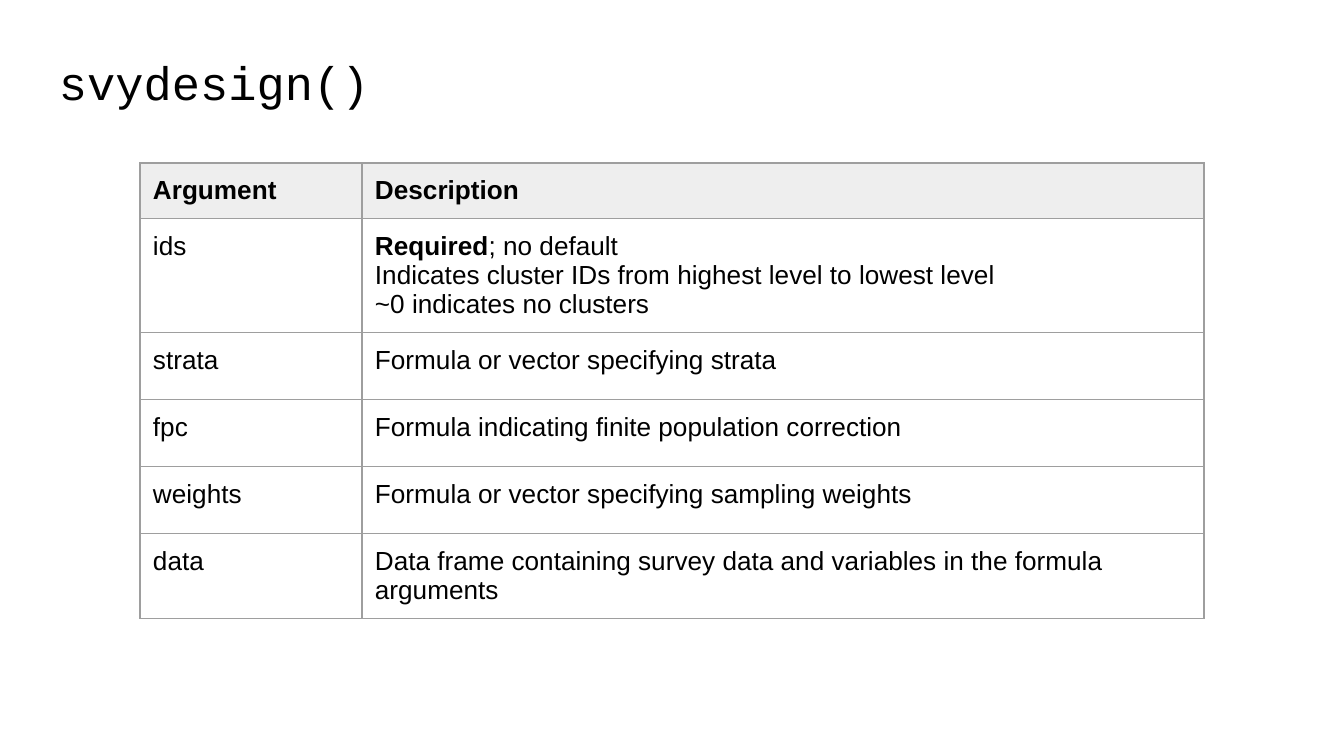
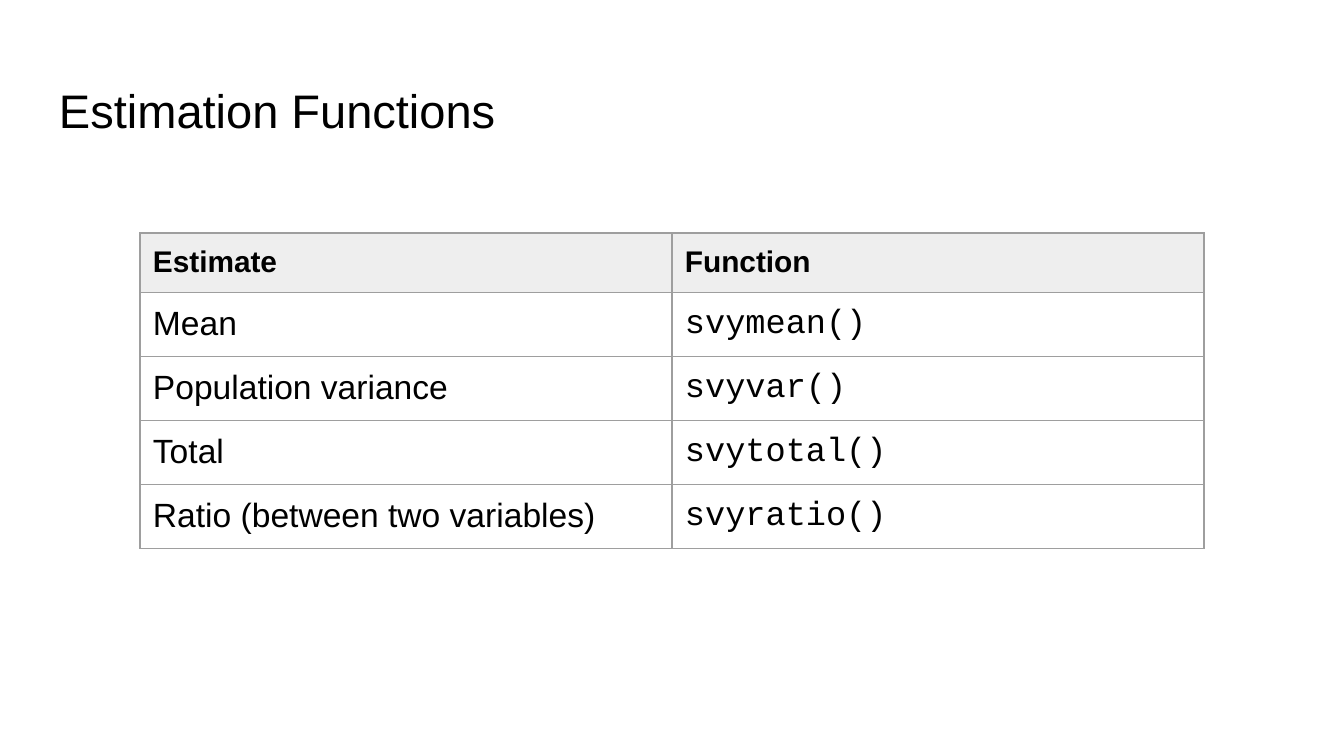
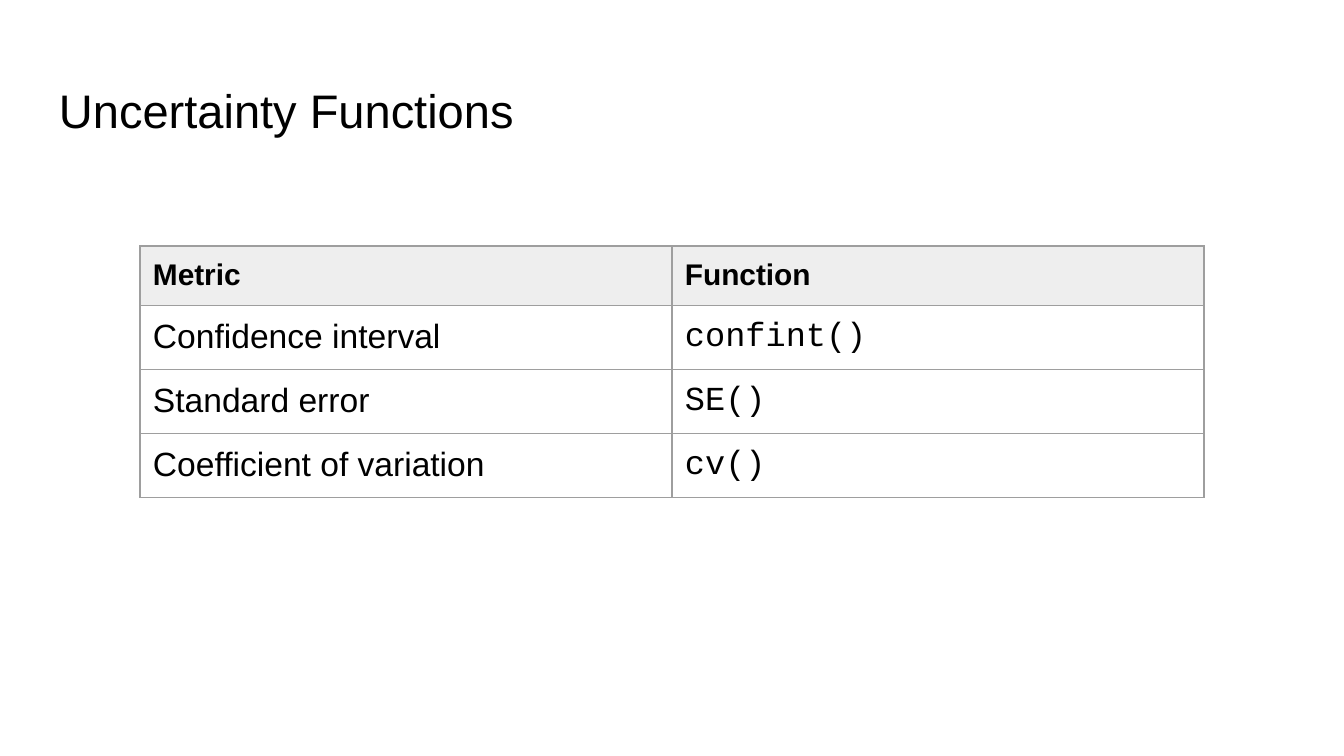
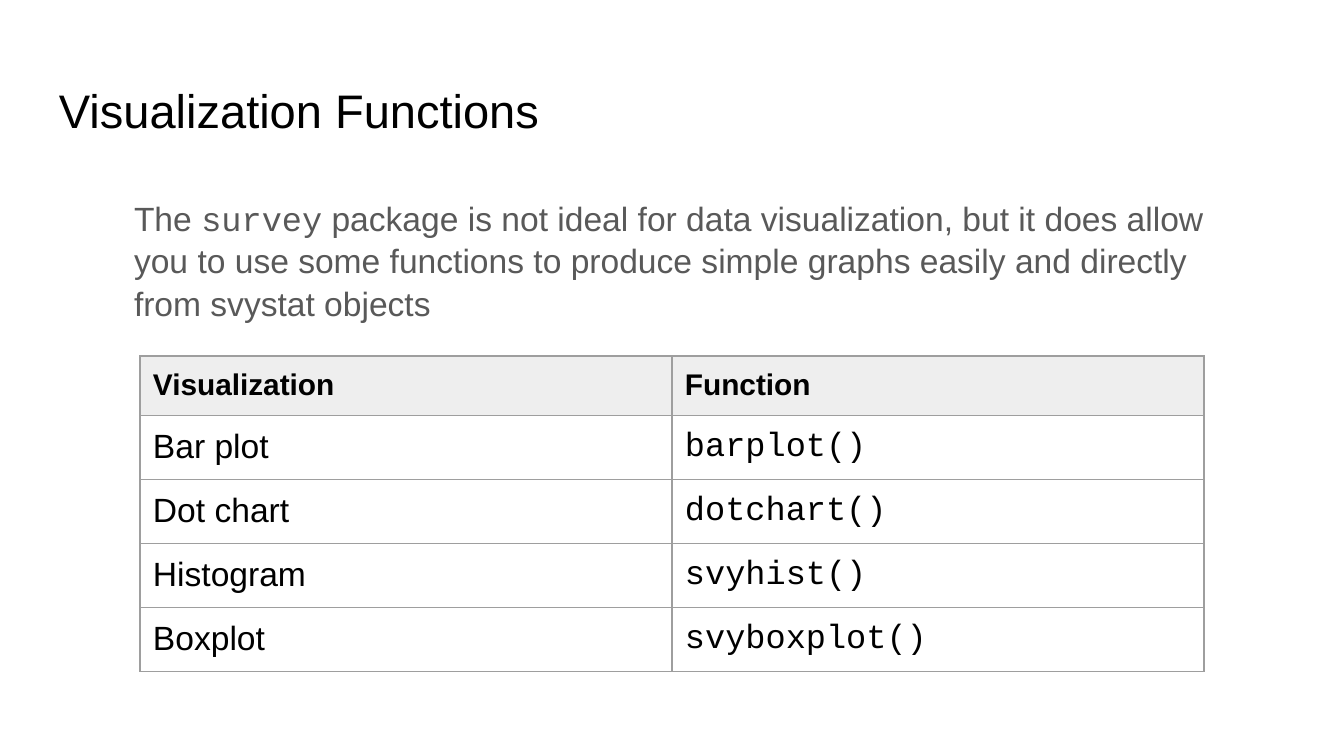
from dataclasses import dataclass
from typing import Any

from lxml import etree
from pptx import Presentation
from pptx.dml.color import RGBColor
from pptx.enum.text import MSO_ANCHOR, MSO_AUTO_SIZE, PP_ALIGN
from pptx.oxml.ns import qn
from pptx.util import Emu, Pt

LEFT = PP_ALIGN.LEFT
TOP, BOTTOM = MSO_ANCHOR.TOP, MSO_ANCHOR.BOTTOM
NO_FIT, GROW = MSO_AUTO_SIZE.NONE, MSO_AUTO_SIZE.SHAPE_TO_FIT_TEXT

# Shared look
EMU_PER_PX = 914400 / 134.4
SLIDE_WIDTH, SLIDE_HEIGHT = 1344, 756
INSET = 13
TITLE_ONLY = 5
SANS, MONO = "Arial", "Courier New"
BLACK = RGBColor(0x00, 0x00, 0x00)
GREY_TEXT = RGBColor(0x59, 0x59, 0x59)
HEADER_FILL = RGBColor(0xEE, 0xEE, 0xEE)
BORDER = RGBColor(0x9E, 0x9E, 0x9E)
BORDER_WIDTH = Pt(0.75)
TITLE_SIZE = 25.2
TITLE_LEFT, TITLE_TOP, TITLE_WIDTH, TITLE_HEIGHT = 46, 66, 1252, 85
TABLE_LEFT = 140


@dataclass(frozen=True)
class Span:
    text: str
    font: str = SANS
    bold: bool = False


Para = tuple[Span, ...]
Cell = tuple[Para, ...]


@dataclass(frozen=True)
class Grid:
    top: int
    columns: tuple[int, int]
    header_height: int
    row_height: int
    header_size: int
    body_size: int
    rows: list[tuple[Cell, ...]]


@dataclass(frozen=True)
class Page:
    title: Span
    grid: Grid
    title_top: int = TITLE_TOP
    intro: Para = ()


def px(length: int) -> Emu:
    return Emu(round(length * EMU_PER_PX))


def apply_format(target: Any, values: dict[str, Any]) -> None:
    for name, value in values.items():
        setattr(target, name, value)


def place(shape: Any, left: int, top: int, width: int, height: int) -> None:
    apply_format(shape, {"left": px(left), "top": px(top),
                         "width": px(width), "height": px(height)})


def margins() -> dict[str, Emu]:
    return {f"margin_{side}": px(INSET) for side in ("left", "top", "right", "bottom")}


def write(frame: Any, paras: Cell, size: float, color: RGBColor,
          spacing: float = 1.0) -> None:
    """Fill a text frame with paragraphs of formatted spans."""
    for index, spans in enumerate(paras):
        para = frame.add_paragraph() if index else frame.paragraphs[0]
        apply_format(para, {"alignment": LEFT, "line_spacing": spacing,
                            "space_before": Pt(0), "space_after": Pt(0)})
        for span in spans:
            run = para.add_run()
            run.text = span.text
            apply_format(run.font, {"name": span.font, "size": Pt(size),
                                    "bold": span.bold})
            run.font.color.rgb = color


def add_borders(cell: Any) -> None:
    properties = cell._tc.get_or_add_tcPr()
    for side in ("a:lnL", "a:lnR", "a:lnT", "a:lnB"):
        line = etree.SubElement(properties, qn(side), w=str(BORDER_WIDTH))
        fill = etree.SubElement(line, qn("a:solidFill"))
        etree.SubElement(fill, qn("a:srgbClr"), val=str(BORDER))


def draw_title(slide: Any, title: Span, top: int) -> None:
    box = slide.shapes.title
    place(box, TITLE_LEFT, top, TITLE_WIDTH, TITLE_HEIGHT)
    apply_format(box.text_frame, {**margins(), "word_wrap": True, "auto_size": NO_FIT,
                                  "vertical_anchor": BOTTOM})
    write(box.text_frame, ((title,),), TITLE_SIZE, BLACK)


def draw_grid(slide: Any, grid: Grid) -> None:
    heights = [grid.header_height] + [grid.row_height] * (len(grid.rows) - 1)
    table = slide.shapes.add_table(
        len(grid.rows), len(grid.columns), px(TABLE_LEFT), px(grid.top),
        px(sum(grid.columns)), px(sum(heights))).table
    apply_format(table, {"first_row": False, "horz_banding": False})
    for column, width in zip(table.columns, grid.columns):
        column.width = px(width)
    for row, height in zip(table.rows, heights):
        row.height = px(height)
    for row_index, row in enumerate(grid.rows):
        for column_index, paras in enumerate(row):
            cell = table.cell(row_index, column_index)
            apply_format(cell, {**margins(), "vertical_anchor": TOP})
            add_borders(cell)
            if row_index:
                cell.fill.background()
            else:
                cell.fill.solid()
                cell.fill.fore_color.rgb = HEADER_FILL
            size = grid.body_size if row_index else grid.header_size
            write(cell.text_frame, paras, size, BLACK)


def draw_intro(slide: Any, spans: Para) -> None:
    box = slide.shapes.add_textbox(px(121), px(183), px(1114), px(149))
    apply_format(box.text_frame, {**margins(), "word_wrap": True, "auto_size": GROW,
                                  "vertical_anchor": TOP})
    write(box.text_frame, (spans,), 18, GREY_TEXT, 1.05)


def plain(text: str, font: str = SANS, bold: bool = False) -> Cell:
    return ((Span(text, font, bold),),)


def header(*names: str) -> tuple[Cell, ...]:
    return tuple(plain(name, bold=True) for name in names)


def function_grid(top: int, label: str, functions: dict[str, str]) -> Grid:
    """Two equal columns: a label and the function that computes it."""
    rows = [(plain(name), plain(call, MONO)) for name, call in functions.items()]
    return Grid(top, (532, 532), 58, 58, 16, 18, [header(label, "Function"), *rows])


# Slide content
IDS_DESCRIPTION: Cell = (
    (Span("Required", bold=True), Span("; no default")),
    (Span("Indicates cluster IDs from highest level to lowest level"),),
    (Span("~0 indicates no clusters"),),
)
ARGUMENTS = {
    "strata": "Formula or vector specifying strata",
    "fpc": "Formula indicating finite population correction",
    "weights": "Formula or vector specifying sampling weights",
    "data": "Data frame containing survey data and variables in the formula arguments",
}
ARGUMENT_GRID = Grid(163, (222, 842), 52, 67, 14, 14, [
    header("Argument", "Description"),
    (plain("ids"), IDS_DESCRIPTION),
    *((plain(name), plain(text)) for name, text in ARGUMENTS.items()),
])
PAGES = [
    Page(Span("svydesign()", MONO), ARGUMENT_GRID, title_top=38),
    Page(Span("Estimation Functions"), function_grid(233, "Estimate", {
        "Mean": "svymean()",
        "Population variance": "svyvar()",
        "Total": "svytotal()",
        "Ratio (between two variables)": "svyratio()",
    })),
    Page(Span("Uncertainty Functions"), function_grid(246, "Metric", {
        "Confidence interval": "confint()",
        "Standard error": "SE()",
        "Coefficient of variation": "cv()",
    })),
    Page(Span("Visualization Functions"), function_grid(356, "Visualization", {
        "Bar plot": "barplot()",
        "Dot chart": "dotchart()",
        "Histogram": "svyhist()",
        "Boxplot": "svyboxplot()",
    }), intro=(
        Span("The "),
        Span("survey", MONO),
        Span(" package is not ideal for data visualization, but it does allow you "
             "to use some functions to produce simple graphs easily and directly "
             "from svystat objects"),
    )),
]


def main() -> None:
    deck = Presentation()
    apply_format(deck, {"slide_width": px(SLIDE_WIDTH), "slide_height": px(SLIDE_HEIGHT)})
    for page in PAGES:
        slide = deck.slides.add_slide(deck.slide_layouts[TITLE_ONLY])
        draw_title(slide, page.title, page.title_top)
        draw_grid(slide, page.grid)
        if page.intro:
            draw_intro(slide, page.intro)
    deck.save("out.pptx")


if __name__ == "__main__":
    main()
